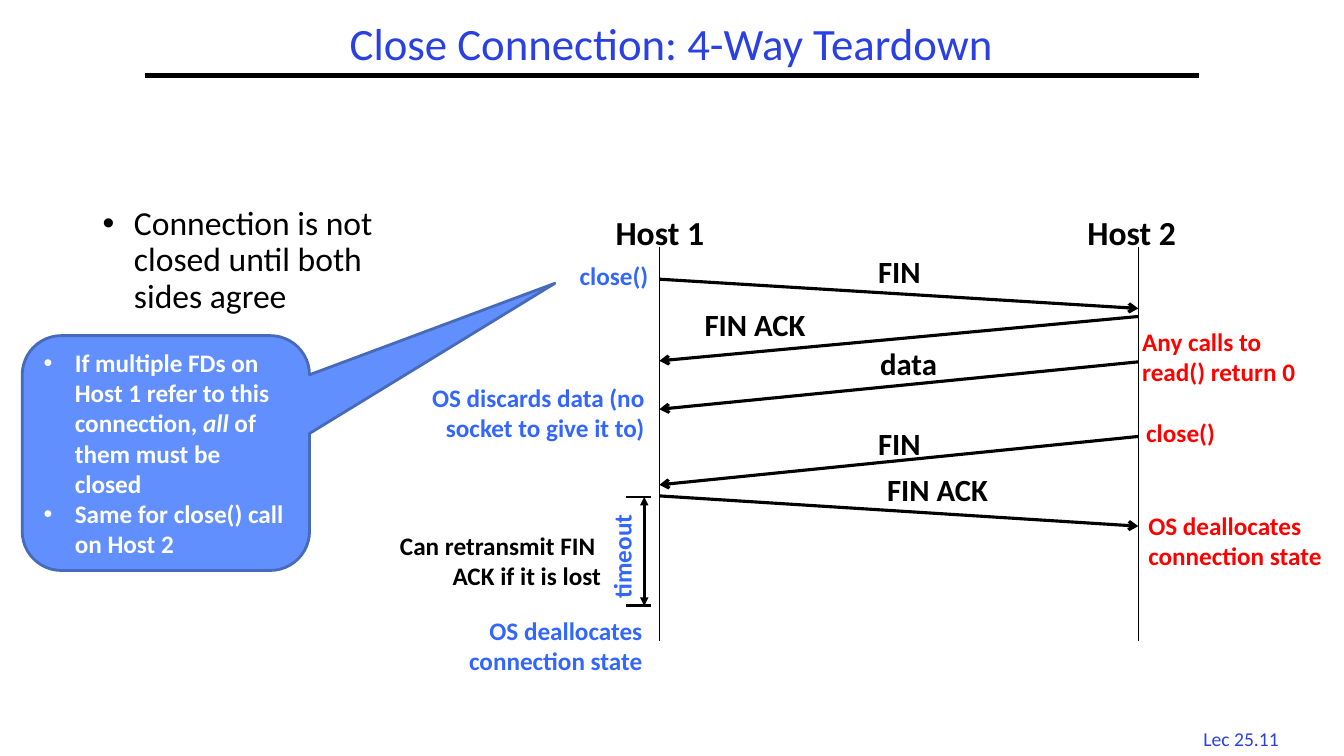
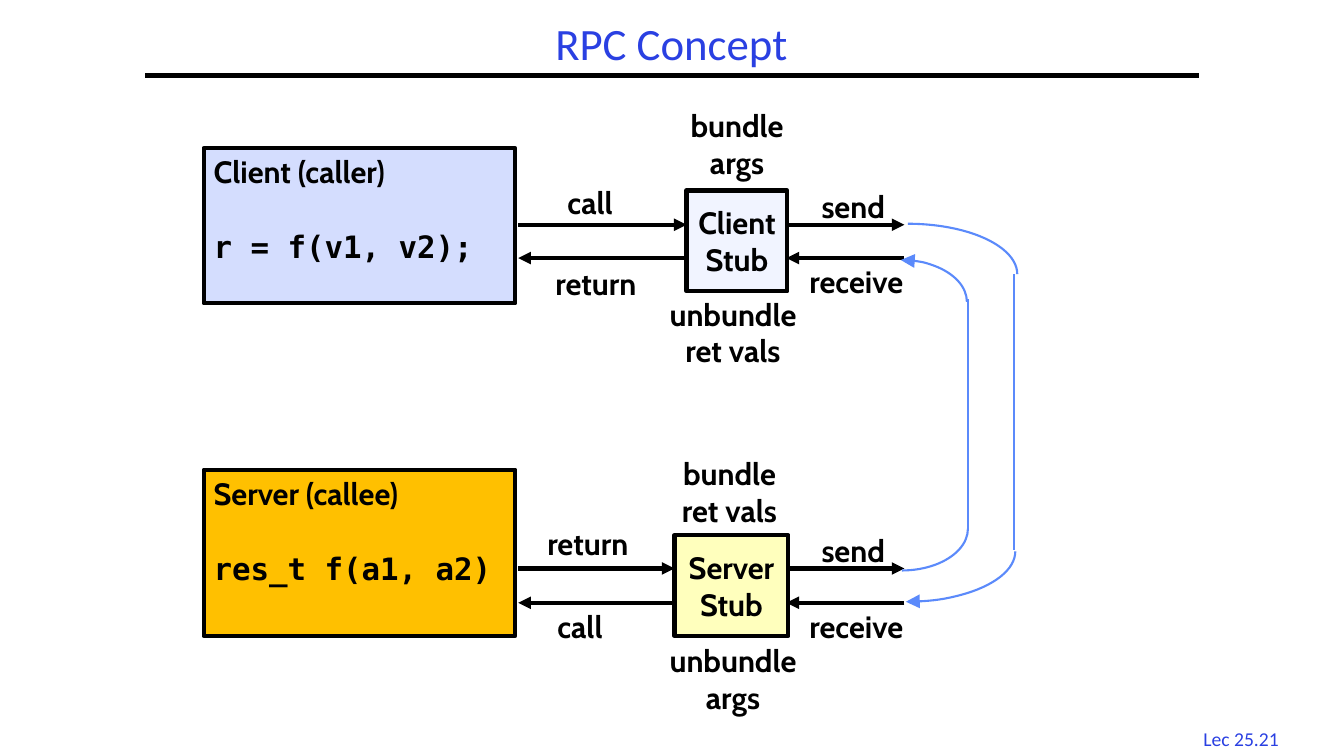
from dataclasses import dataclass

from pptx import Presentation
from pptx.dml.color import RGBColor
from pptx.enum.shapes import MSO_CONNECTOR, MSO_SHAPE
from pptx.enum.text import MSO_ANCHOR, MSO_AUTO_SIZE, PP_ALIGN
from pptx.oxml.ns import qn
from pptx.util import Inches, Pt
from lxml import etree

STRAIGHT = MSO_CONNECTOR.STRAIGHT
RECT, ARC = MSO_SHAPE.RECTANGLE, MSO_SHAPE.ARC
CALLOUT = MSO_SHAPE.ROUNDED_RECTANGULAR_CALLOUT
LEFT, CENTER, RIGHT = PP_ALIGN.LEFT, PP_ALIGN.CENTER, PP_ALIGN.RIGHT
TOP, MIDDLE = MSO_ANCHOR.TOP, MSO_ANCHOR.MIDDLE
FIT, FIXED = MSO_AUTO_SIZE.SHAPE_TO_FIT_TEXT, MSO_AUTO_SIZE.NONE


@dataclass(frozen=True)
class Theme:
    # Colours
    ink: str = "000000"
    white: str = "FFFFFF"
    title: str = "2A40E2"
    host1: str = "3366FF"
    host2: str = "FF0000"
    callout: str = "618FFD"
    callout_edge: str = "486ABB"
    network: str = "5B8AFB"
    client: str = "D4DDFE"
    client_stub: str = "F1F4FF"
    server: str = "FFC000"
    server_stub: str = "FFFFBD"
    # Fonts
    body_font: str = "Calibri"
    diagram_font: str = "Cabin"
    code_font: str = "DejaVu Sans Mono"
    # Type sizes
    title_size: int = 32
    body_size: int = 24
    message_size: int = 22
    note_size: int = 18
    footer_size: int = 14


THEME = Theme()


@dataclass(frozen=True)
class Style:
    size: int = THEME.note_size
    color: str = THEME.ink
    bold: bool = True
    font: str = THEME.body_font
    italic: bool = False


TITLE = Style(THEME.title_size, THEME.title, False)
FOOTER = Style(THEME.footer_size, THEME.title, False)
BODY = Style(THEME.body_size, bold=False)
HOST = Style(THEME.body_size)
MESSAGE = Style(THEME.message_size)
NOTE = Style()
HOST1_NOTE = Style(color=THEME.host1)
HOST2_NOTE = Style(color=THEME.host2)
CALLOUT_TEXT = Style(color=THEME.white)
CALLOUT_STRESS = Style(color=THEME.white, italic=True)
DIAGRAM = Style(THEME.message_size, font=THEME.diagram_font)
CODE = Style(THEME.message_size, font=THEME.code_font)


# Text
def add_bullet(paragraph):
    props = paragraph._p.get_or_add_pPr()
    props.set("marL", str(Inches(0.31)))
    props.set("indent", str(-Inches(0.31)))
    etree.SubElement(props, qn("a:buFont")).set("typeface", "Arial")
    etree.SubElement(props, qn("a:buChar")).set("char", "•")


def write(shape, paragraphs, align=LEFT, anchor=TOP, wrap=True,
          spacing=None, gap=0, bullets=False):
    """Fill a shape with paragraphs, each a list of (text, style) runs."""
    frame = shape.text_frame
    frame.word_wrap = wrap
    frame.vertical_anchor = anchor
    for index, runs in enumerate(paragraphs):
        paragraph = frame.paragraphs[0] if index == 0 else frame.add_paragraph()
        paragraph.alignment = align
        if spacing:
            paragraph.line_spacing = spacing
        if index and gap:
            paragraph.space_before = Pt(gap)
        if bullets:
            add_bullet(paragraph)
        for text, style in runs:
            run = paragraph.add_run()
            run.text = text
            run.font.name = style.font
            run.font.size = Pt(style.size)
            run.font.bold = style.bold
            run.font.italic = style.italic
            run.font.color.rgb = RGBColor.from_string(style.color)


def lines(style, *texts):
    return [[(text, style)] for text in texts]


def add_text(slide, at, paragraphs, fit=True, rotation=0, **layout):
    box = slide.shapes.add_textbox(*map(Inches, at))
    write(box, paragraphs, **layout)
    box.text_frame.auto_size = FIT if fit else FIXED
    box.rotation = rotation


def add_label(slide, at, style, *texts, align=LEFT, rotation=0):
    add_text(slide, at, lines(style, *texts), align=align, wrap=False,
             rotation=rotation)


# Lines and shapes
def set_line(shape, color, width, head=None, tail=None, size="med"):
    shape.line.color.rgb = RGBColor.from_string(color)
    shape.line.width = Pt(width)
    outline = shape._element.spPr.find(qn("a:ln"))
    for tag, kind in (("a:headEnd", head), ("a:tailEnd", tail)):
        if kind:
            etree.SubElement(outline, qn(tag), type=kind, w=size, len=size)


def add_line(slide, start, end, width, color=THEME.ink, head=None, tail=None):
    line = slide.shapes.add_connector(STRAIGHT, *map(Inches, (*start, *end)))
    set_line(line, color, width, head, tail)
    etree.SubElement(line._element.spPr, qn("a:effectLst"))


def add_box(slide, kind, at, fill, edge=THEME.ink, width=3):
    box = slide.shapes.add_shape(kind, *map(Inches, at))
    box.shadow.inherit = False
    box.fill.solid()
    box.fill.fore_color.rgb = RGBColor.from_string(fill)
    set_line(box, edge, width)
    return box


def add_quarter_arc(slide, at, start, end, head=None, tail=None):
    """Draw an arc clockwise between two angles in degrees."""
    arc = slide.shapes.add_shape(ARC, *map(Inches, at))
    arc.shadow.inherit = False
    arc.fill.background()
    # One adjustment unit is 100000 sixty-thousandths of a degree
    arc.adjustments[0] = start * 0.6
    arc.adjustments[1] = end * 0.6
    set_line(arc, THEME.network, 1.5, head, tail, size="lg")


def new_slide(deck, title, number):
    """Start a slide with the shared footer, rule and title."""
    slide = deck.slides.add_slide(deck.slide_layouts[6])
    add_label(slide, (11.77, 7.16, 1.08, 0.33), FOOTER, number, align=CENTER)
    add_line(slide, (1.44, 0.75), (11.89, 0.75), 3)
    add_text(slide, (1.44, 0.17, 10.44, 0.58), lines(TITLE, title), fit=False,
             align=CENTER, anchor=MIDDLE, spacing=0.9)
    return slide


# Slide: connection teardown
def build_teardown(deck):
    slide = new_slide(deck, "Close Connection: 4-Way Teardown", "Lec 25.11")
    add_text(slide, (0.92, 2, 3.12, 4.76),
             lines(BODY, "Connection is not closed until both sides agree"),
             fit=False, spacing=0.9, bullets=True)

    # Host timelines
    host1_x, host2_x = 6.54, 11.29
    for name, x, left in (("Host 1", host1_x, 5.93), ("Host 2", host2_x, 10.61)):
        add_line(slide, (x, 2.45), (x, 6.36), 1)
        add_label(slide, (left, 2.05, 1.23, 0.5), HOST, name, align=CENTER)

    # Messages: text, label left and top, sender, receiver, sent, received
    for text, left, top, sender, receiver, sent, received in (
        ("FIN", 8.61, 2.46, host1_x, host2_x, 2.77, 3.06),
        ("FIN ACK", 6.89, 2.98, host2_x, host1_x, 3.14, 3.58),
        ("data", 8.63, 3.37, host2_x, host1_x, 3.59, 4.06),
        ("FIN", 8.61, 4.16, host2_x, host1_x, 4.33, 4.81),
        ("FIN ACK", 8.7, 4.62, host1_x, host2_x, 4.92, 5.22),
    ):
        add_line(slide, (sender, sent), (receiver, received), 2.25, tail="arrow")
        add_label(slide, (left, top, 1.42 if "ACK" in text else 0.82, 0.46),
                  MESSAGE, text)

    # Timeout bracket
    start, end = 4.93, 6.01
    for y in (start, end):
        add_line(slide, (6.21, y), (6.46, y), 2)
    add_line(slide, (6.39, end), (6.39, start), 2, head="triangle", tail="triangle")
    add_label(slide, (5.61, 5.28, 1.11, 0.4), HOST1_NOTE, "timeout", rotation=270)
    add_label(slide, (3.53, 5.21, 2.53, 0.71), NOTE,
              "Can retransmit FIN ", "ACK if it is lost", align=RIGHT)

    # What each host does
    for text, at, style, align in (
        ("close()", (5.36, 2.53, 1.17, 0.4), HOST1_NOTE, RIGHT),
        ("OS discards data (no socket to give it to)",
         (3.77, 3.74, 2.72, 0.71), HOST1_NOTE, RIGHT),
        ("OS deallocates connection state",
         (3.89, 6.05, 2.58, 0.71), HOST1_NOTE, RIGHT),
        ("Any calls to read() return 0",
         (11.23, 3.19, 2.04, 0.71), HOST2_NOTE, LEFT),
        ("close()", (11.27, 4.09, 1.02, 0.4), HOST2_NOTE, LEFT),
        ("OS deallocates connection state",
         (11.29, 5.01, 1.98, 0.71), HOST2_NOTE, LEFT),
    ):
        add_text(slide, at, lines(style, text), align=align)

    # Callout on close()
    callout = add_box(slide, CALLOUT, (0.22, 3.33, 2.85, 2.33),
                      THEME.callout, THEME.callout_edge, 2)
    for index, value in enumerate((1.354, -0.723, 0.167)):
        callout.adjustments[index] = value
    write(callout, [
        [("If multiple FDs on Host 1 refer to this connection, ", CALLOUT_TEXT),
         ("all", CALLOUT_STRESS),
         (" of them must be closed", CALLOUT_TEXT)],
        [("Same for close() call on Host 2", CALLOUT_TEXT)],
    ], anchor=MIDDLE, bullets=True)


# Slide: remote procedure call
def add_program(slide, top, height, fill, role, code):
    box = add_box(slide, RECT, (2.02, top, 3.09, height), fill)
    write(box, [[(role, DIAGRAM)], [(code, CODE)]], wrap=False, gap=27)


def add_stub(slide, at, fill, name):
    box = add_box(slide, RECT, at, fill)
    write(box, lines(DIAGRAM, name, "Stub"), align=CENTER, anchor=MIDDLE,
          wrap=False)


def build_rpc(deck):
    slide = new_slide(deck, "RPC Concept", "Lec 25.21")
    program_x, stub_right, network_x = 5.14, 7.8, 8.97

    # Programs and their stubs
    add_program(slide, 1.47, 1.54, THEME.client, "Client (caller)", "r = f(v1, v2);")
    add_program(slide, 4.66, 1.65, THEME.server, "Server (callee)", "res_t f(a1, a2)")
    add_stub(slide, (6.81, 1.89, 1, 1), THEME.client_stub, "Client")
    add_stub(slide, (6.69, 5.31, 1.13, 1), THEME.server_stub, "Server")

    # Outgoing and incoming arrows of each side
    for stub_left, out_y, in_y in ((6.81, 2.23, 2.56), (6.69, 5.64, 5.98)):
        for near, far in ((program_x, stub_left), (stub_right, network_x)):
            add_line(slide, (near, out_y), (far, out_y), 3, tail="triangle")
            add_line(slide, (far, in_y), (near, in_y), 3, tail="triangle")

    # Arrow labels
    for text, left, top, width in (
        ("call", 5.53, 1.77, 0.68),
        ("return", 5.41, 2.58, 1.13),
        ("send", 8.05, 1.81, 0.86),
        ("receive", 7.93, 2.56, 1.23),
        ("return", 5.33, 5.16, 1.13),
        ("call", 5.43, 5.98, 0.69),
        ("send", 8.05, 5.23, 0.86),
        ("receive", 7.93, 5.98, 1.23),
    ):
        add_label(slide, (left, top, width, 0.47), DIAGRAM, text)

    # Stub tasks
    for action, data, left, top, width in (
        ("bundle", "args", 6.72, 1.01, 1.18),
        ("unbundle", "ret vals", 6.5, 2.88, 1.54),
        ("bundle", "ret vals", 6.61, 4.46, 1.25),
        ("unbundle", "args", 6.5, 6.32, 1.54),
    ):
        add_label(slide, (left, top, width, 0.84), DIAGRAM, action, data,
                  align=CENTER)

    # Request path, client to server
    add_quarter_arc(slide, (7.92, 2.22, 2.17, 1), 270, 0)
    add_line(slide, (10.06, 2.72), (10.06, 5.46), 1.5, THEME.network)
    add_quarter_arc(slide, (7.9, 4.97, 2.17, 1), 0, 90, tail="triangle")

    # Reply path, server to client
    add_quarter_arc(slide, (8.29, 4.83, 1.31, 0.83), 0, 90)
    add_line(slide, (9.6, 5.25), (9.6, 2.97), 1.5, THEME.network)
    add_quarter_arc(slide, (8.28, 2.58, 1.31, 0.83), 270, 0, head="triangle")


def main():
    deck = Presentation()
    deck.slide_width, deck.slide_height = Inches(13.33), Inches(7.5)
    build_teardown(deck)
    build_rpc(deck)
    deck.save("out.pptx")


if __name__ == "__main__":
    main()
